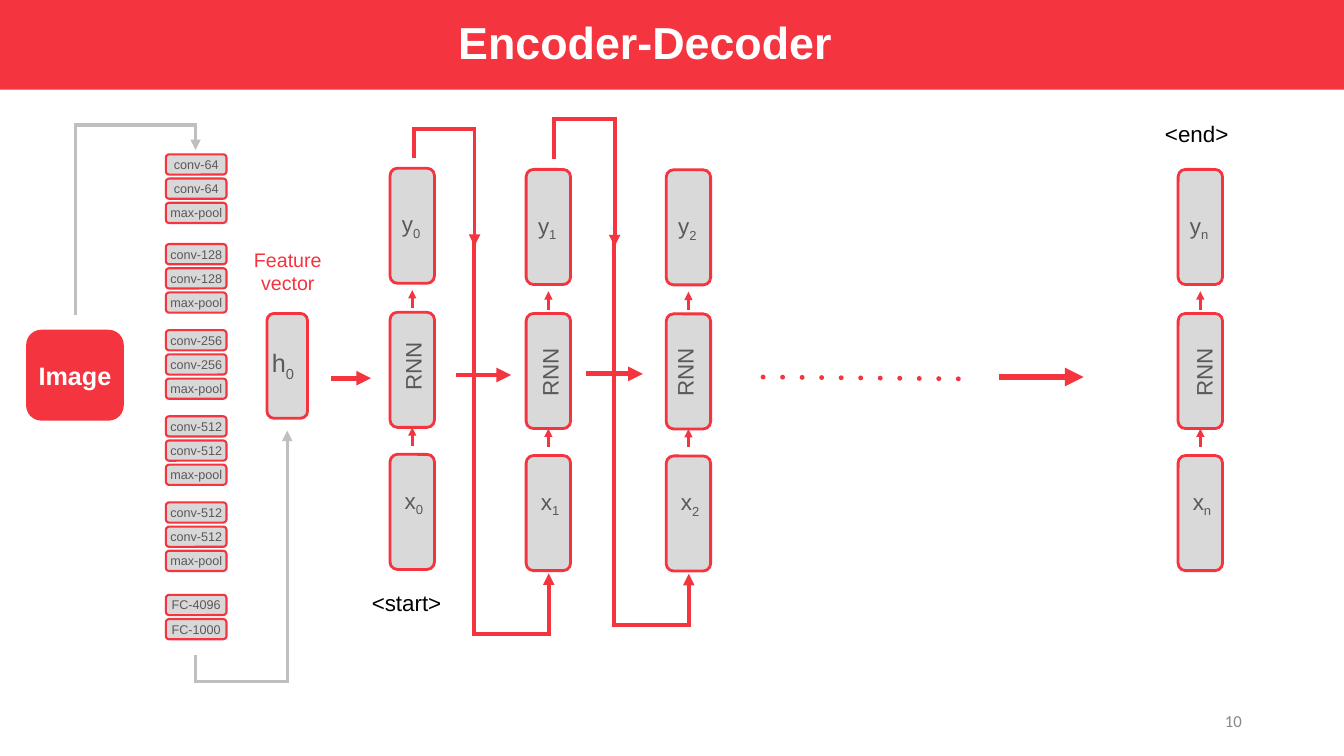
import pptx
import pptx.util
import pptx.dml.color
import pptx.enum.shapes
import pptx.enum.text
import pptx.oxml
import pptx.oxml.ns
from lxml import etree

Cm = pptx.util.Cm
Pt = pptx.util.Pt
SHAPES = pptx.enum.shapes.MSO_SHAPE
CONNECTORS = pptx.enum.shapes.MSO_CONNECTOR
ALIGN = pptx.enum.text.PP_ALIGN
ANCHOR = pptx.enum.text.MSO_ANCHOR
qn = pptx.oxml.ns.qn

COLORS = {"red": "F4343F", "cell": "D9D9D9", "layer": "D8D8D8", "route": "BFBFBF",
          "label": "595959", "white": "FFFFFF", "black": "000000", "number": "888888"}
LAYERS = [(3.89, ["conv-64", "conv-64", "max-pool"]),
          (6.15, ["conv-128", "conv-128", "max-pool"]),
          (8.32, ["conv-256", "conv-256", "max-pool"]),
          (10.49, ["conv-512", "conv-512", "max-pool"]),
          (12.66, ["conv-512", "conv-512", "max-pool"]),
          (14.99, ["FC-4096", "FC-1000"])]
STEPS = [("0", 9.83, 4.24, 0.58, 4.94), ("1", 13.26, 4.27, 0.6, 5.06),
         ("2", 16.79, 4.28, 0.47, 5.04), ("n", 29.69, 4.27, 0.65, 5.06)]
FEEDBACK = [(13.26, 4.27, -1.02, 11.71), (16.79, 4.28, -1.27, 11.47)]
LINKS = [(8.33, 9.53, 1.02, 3.5), (11.48, 9.45, 1.4, 3.5),
         (14.78, 9.42, 1.42, 3.5), (25.17, 9.5, 2.14, 4.5)]


def rgb(name):
    """Return the named colour."""
    return pptx.dml.color.RGBColor.from_string(COLORS[name])


def write(box, text, size, color, align=ALIGN.LEFT, bold=False, subscript="", font="Arial"):
    """Fill the box with one paragraph and an optional subscript."""
    para = box.text_frame.paragraphs[0]
    para.alignment = align
    para.font.name = font
    para.font.size = Pt(size)
    para.font.bold = bold
    para.font.color.rgb = rgb(color)
    para.add_run().text = text
    if subscript:
        span = para.add_run()
        span.text = subscript
        span._r.get_or_add_rPr().set("baseline", "-25000")


def add_label(page, left, top, width, height, text, size, color, **style):
    """Add a wrapping text box."""
    box = page.shapes.add_textbox(Cm(left), Cm(top), Cm(width), Cm(height))
    box.text_frame.word_wrap = True
    write(box, text, size, color, **style)
    return box


def add_block(page, kind, left, top, width, height, fill, outline=None):
    """Add a filled shape whose outline is optional and red."""
    block = page.shapes.add_shape(kind, Cm(left), Cm(top), Cm(width), Cm(height))
    block.shadow.inherit = False
    block.fill.solid()
    block.fill.fore_color.rgb = rgb(fill)
    if outline:
        block.line.color.rgb = rgb("red")
        block.line.width = Pt(outline)
    else:
        block.line.fill.background()
    frame = block.text_frame
    frame.word_wrap = False
    frame.vertical_anchor = ANCHOR.MIDDLE
    frame.margin_left = frame.margin_right = frame.margin_top = frame.margin_bottom = 0
    return block


def add_line(page, kind, start, end, color, width, dotted=False):
    """Add a connector that is dotted or ends in an arrowhead."""
    line = page.shapes.add_connector(kind, *[Cm(value) for value in start + end])
    line.line.color.rgb = rgb(color)
    line.line.width = Pt(width)
    stroke = line.line._get_or_add_ln()
    if dotted:
        stroke.set("cap", "rnd")
        etree.SubElement(stroke, qn("a:prstDash"), val="dot")
    else:
        etree.SubElement(stroke, qn("a:miter"), lim="800000")
        etree.SubElement(stroke, qn("a:tailEnd"), type="triangle")
    etree.SubElement(line._element.spPr, qn("a:effectLst"))
    return line


def add_route(page, start, end, turn, color, width):
    """Add an arrow running vertically to the turn height, across, then vertically to the end."""
    (x1, y1), (x2, y2) = start, end
    middle_x, middle_y = (x1 + x2) / 2, (y1 + y2) / 2
    along, across = (y1 - y2) / 2, (x2 - x1) / 2
    line = add_line(page, CONNECTORS.ELBOW, (middle_x - along, middle_y - across),
                    (middle_x + along, middle_y + across), color, width)
    properties = line._element.spPr
    properties.find(qn("a:xfrm")).set("rot", "16200000")
    guides = properties.find(qn("a:prstGeom")).get_or_add_avLst()
    bend = round((turn - y1) / (y2 - y1) * 100000)
    etree.SubElement(guides, qn("a:gd"), name="adj1", fmla=f"val {bend}")


def add_header(page, left, top, width, height):
    """Draw the title band."""
    add_block(page, SHAPES.RECTANGLE, left, top, width, height, "red")
    add_label(page, left + 7.42, top + 0.25, 17.68, 1.63, "Encoder-Decoder", 32, "white",
              align=ALIGN.CENTER, bold=True)


def add_image_input(page, left, top, width, height):
    """Draw the image block and its route to the encoder."""
    block = add_block(page, SHAPES.ROUNDED_RECTANGLE, left, top, width, height, "red")
    write(block, "Image", 18, "white", align=ALIGN.CENTER, bold=True)
    add_route(page, (left + 1.24, top - 0.36), (left + 4.27, top - 4.53), top - 5.16, "route", 2.5)


def add_layers(page, left, top, width, names):
    """Stack one group of encoder layers."""
    for row, name in enumerate(names):
        layer = add_block(page, SHAPES.ROUNDED_RECTANGLE, left, top + row * 0.61, width, 0.51,
                          "layer", 1.5)
        write(layer, name, 9, "label", align=ALIGN.CENTER)


def add_feature_vector(page, left, top, width, height):
    """Draw the feature vector, its caption and the route from the encoder."""
    add_route(page, (left - 1.8, top + 8.61), (left + width / 2, top + 2.95), top + 9.27,
              "route", 2.5)
    add_label(page, left - 0.63, top - 1.78, 2.31, 1.45, "Feature vector", 14, "red",
              align=ALIGN.CENTER)
    add_block(page, SHAPES.ROUNDED_RECTANGLE, left, top, width, height, "cell", 2)
    add_label(page, left - 0.13, top + 0.74, 1.63, 1.02, "h", 18, "label", subscript="0")


def add_step(page, left, top, index, label_x, label_y):
    """Draw one decoder step: output, RNN cell and input."""
    for offset in (0, 3.63, 7.21):
        add_block(page, SHAPES.ROUNDED_RECTANGLE, left, top + offset, 1.12, 2.9, "cell", 2)
    for letter, shift, offset in (("y", 0.05, 0.94), ("x", 0.12, 7.9)):
        add_label(page, left + shift, top + offset, 1.63, 0.94, letter, 16, "label",
                  subscript=index)
    cell = add_label(page, left + label_x - 0.92, top + label_y - 0.47, 1.84, 0.94,
                     "RNN", 16, "label")
    cell.rotation = 270
    for tail in (6.99, 3.53):
        add_line(page, CONNECTORS.STRAIGHT, (left + 0.56, top + tail),
                 (left + 0.56, top + tail - 0.46), "red", 1.75)


def add_feedback(page, left, top, peak, trough):
    """Route the previous output into the input of the step at left and top."""
    add_route(page, (left - 1.32, top + 1.7), (left + 0.57, top + 10.18), top + trough, "red", 2.75)
    add_route(page, (left - 2.83, top - 0.28), (left - 1.3, top + 1.93), top + peak, "red", 2.75)


def add_decoder(page):
    """Draw the decoder steps, the arrows between them and the end tokens."""
    for index, left, top, label_x, label_y in STEPS:
        add_step(page, left, top, index, label_x, label_y)
    for left, top, peak, trough in FEEDBACK:
        add_feedback(page, left, top, peak, trough)
    for left, top, length, width in LINKS:
        add_line(page, CONNECTORS.STRAIGHT, (left, top), (left + length, top), "red", width)
    add_line(page, CONNECTORS.STRAIGHT, (19.23, 9.5), (24.64, 9.55), "red", 3.5, dotted=True)
    for text, left, top in (("<start>", 9.12, 14.73), ("<end>", 29.11, 2.9)):
        add_label(page, left, top, 2.84, 0.94, text, 16, "black")


def add_page_number(page, left, top, width, height):
    """Write the page number."""
    box = add_label(page, left, top, width, height, "10", 12, "number",
                    align=ALIGN.RIGHT, font="Calibri")
    box.text_frame.vertical_anchor = ANCHOR.MIDDLE


def main():
    """Build the slide and save it."""
    deck = pptx.Presentation()
    deck.slide_width, deck.slide_height = Cm(33.87), Cm(19.05)
    page = deck.slides.add_slide(deck.slide_layouts[6])
    add_header(page, 0, 0, 33.87, 2.26)
    add_image_input(page, 0.66, 8.31, 2.46, 2.29)
    for top, names in LAYERS:
        add_layers(page, 4.18, top, 1.53, names)
    add_feature_vector(page, 6.73, 7.9, 1.02, 2.64)
    add_decoder(page)
    add_page_number(page, 23.93, 17.65, 7.62, 1.02)
    deck.save("out.pptx")


if __name__ == "__main__":
    main()
